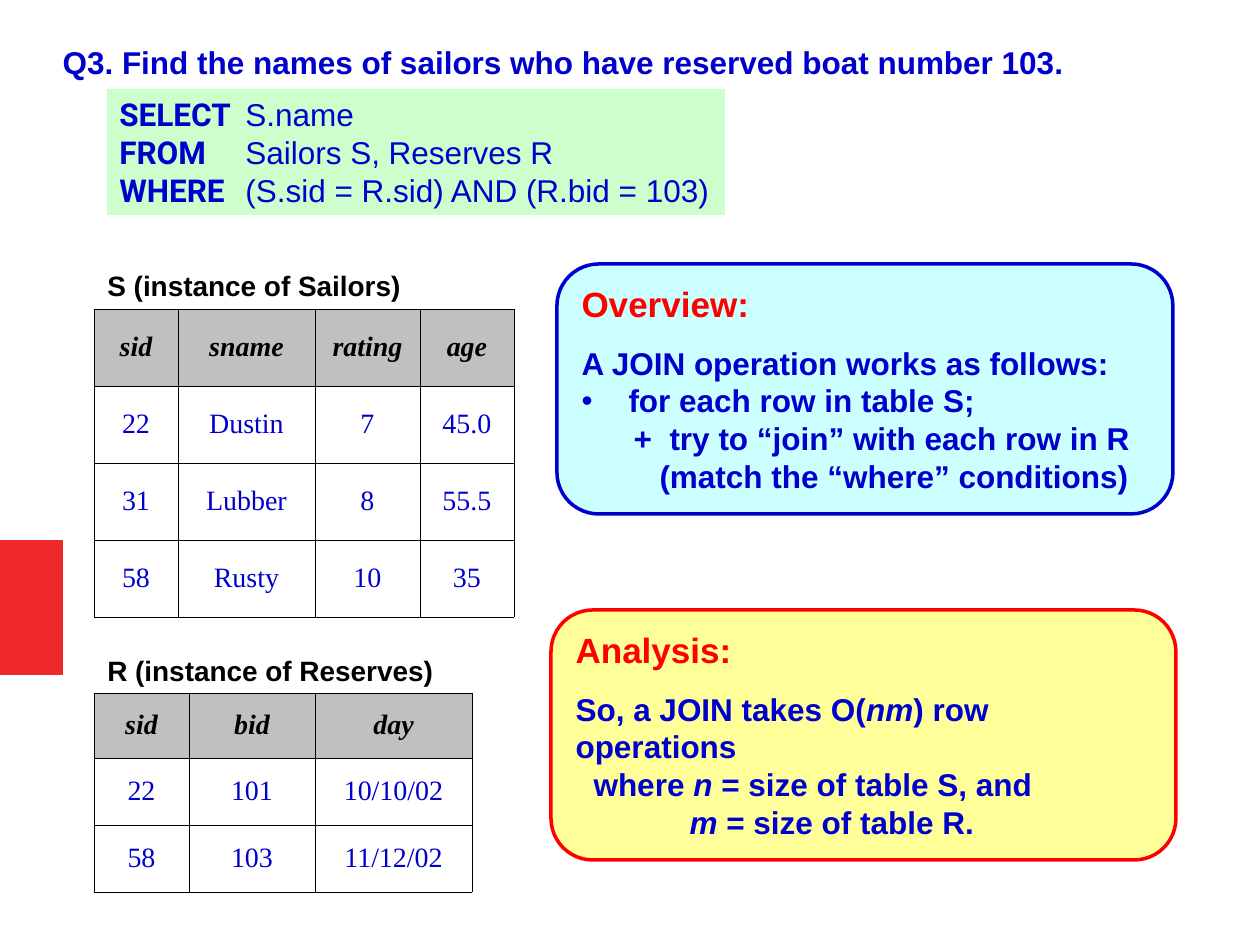
import pptx
import pptx.dml.color
import pptx.enum.shapes
import pptx.enum.text
import pptx.oxml.ns
import pptx.util
from lxml import etree

RGB = pptx.dml.color.RGBColor
BLUE = RGB(0x00, 0x00, 0xCC)
RED = RGB(0xFF, 0x00, 0x00)
BLACK = RGB(0x00, 0x00, 0x00)
GRAY = RGB(0xC0, 0xC0, 0xC0)
ACCENT = RGB(0xEF, 0x29, 0x29)
CYAN = RGB(0xCC, 0xFF, 0xFF)
GREEN = RGB(0xCC, 0xFF, 0xCC)
YELLOW = RGB(0xFF, 0xFF, 0x99)

SHAPE = pptx.enum.shapes.MSO_SHAPE
ALIGN = pptx.enum.text.PP_ALIGN
ANCHOR = pptx.enum.text.MSO_ANCHOR
SANS, CODE, SERIF = "Arial", "Roboto", "Times New Roman"
PX_PER_INCH = 126


def emu(px):
    return round(px * 914400 / PX_PER_INCH)


def add_xml(parent, tag, **attrs):
    return etree.SubElement(parent, pptx.oxml.ns.qn(tag), attrs)


class Deck:
    """Holds the text style and the current slide; lengths are in px."""

    def __init__(self, width, height):
        self.prs = pptx.Presentation()
        self.prs.slide_width, self.prs.slide_height = emu(width), emu(height)
        self.slide = self.prs.slides.add_slide(self.prs.slide_layouts[5])

    def frame(self, sp, wrap=True):
        tf = sp.text_frame
        tf.word_wrap = wrap
        tf.auto_size = pptx.enum.text.MSO_AUTO_SIZE.NONE
        tf.vertical_anchor = ANCHOR.TOP
        return tf

    def font(self, font, size=18, color=BLUE, bold=True, italic=False, name=SANS):
        font.size, font.name = pptx.util.Pt(size), name
        font.bold, font.italic = bold, italic
        font.color.rgb = color

    def para(self, tf, *runs, left=0, hang=0, tab=0, before=0, bullet=None,
             align=ALIGN.LEFT, **style):
        """Adds a paragraph; a run is a string or (text, font overrides)."""
        p = tf.paragraphs[0]
        if p.runs:
            p = tf.add_paragraph()
        p.alignment = align
        pPr = p._p.get_or_add_pPr()
        pPr.set("marL", str(emu(left)))
        pPr.set("indent", str(-emu(hang)))
        if before:
            p.space_before = pptx.util.Pt(before)
        if bullet:
            add_xml(add_xml(pPr, "a:buClr"), "a:srgbClr", val=str(BLUE))
            add_xml(pPr, "a:buFont", typeface=SANS)
            add_xml(pPr, "a:buChar", char=bullet)
        if tab:
            add_xml(add_xml(pPr, "a:tabLst"), "a:tab", pos=str(emu(tab)), algn="l")
        self.font(p.font, **style)
        for run in runs:
            text, changes = (run, {}) if isinstance(run, str) else run
            r = p.add_run()
            r.text = text
            if changes:
                self.font(r.font, **{**style, **changes})
        return p

    def title(self, text, x, y, w, h):
        sp = self.slide.shapes.title
        sp.left, sp.top, sp.width, sp.height = map(emu, (x, y, w, h))
        self.para(self.frame(sp), text)

    def label(self, text, x, y, w, h):
        sp = self.slide.shapes.add_textbox(*map(emu, (x, y, w, h)))
        self.para(self.frame(sp, wrap=False), text, size=16, color=BLACK)

    def box(self, x, y, w, h, fill, line=None, kind=SHAPE.RECTANGLE):
        sp = self.slide.shapes.add_shape(kind, *map(emu, (x, y, w, h)))
        sp.shadow.inherit = False
        sp.fill.solid()
        sp.fill.fore_color.rgb = fill
        if line is None:
            sp.line.fill.background()
        else:
            sp.line.color.rgb = line
            sp.line.width = pptx.util.Pt(2)
        return self.frame(sp)

    def panel(self, heading, x, y, w, h, fill, line):
        tf = self.box(x, y, w, h, fill, line, SHAPE.ROUNDED_RECTANGLE)
        self.para(tf, heading, size=20, color=RED)
        return tf

    def cell(self, cell, text, header):
        tcPr = cell._tc.get_or_add_tcPr()
        for side in ("a:lnL", "a:lnR", "a:lnT", "a:lnB"):
            ln = add_xml(tcPr, side, w="2921")
            add_xml(add_xml(ln, "a:solidFill"), "a:srgbClr", val=str(BLACK))
        if header:
            cell.fill.solid()
            cell.fill.fore_color.rgb = GRAY
        else:
            cell.fill.background()
        cell.vertical_anchor = ANCHOR.MIDDLE
        p = self.para(cell.text_frame, text, align=ALIGN.CENTER, size=16, name=SERIF,
                      bold=header, italic=header, color=BLACK if header else BLUE)
        p.line_spacing = 0.93

    def table(self, x, y, widths, heights, rows):
        size = map(emu, (x, y, sum(widths), sum(heights)))
        tbl = self.slide.shapes.add_table(len(heights), len(widths), *size).table
        tbl.first_row = tbl.horz_banding = False
        for column, width in zip(tbl.columns, widths):
            column.width = emu(width)
        for i, (height, row) in enumerate(zip(heights, rows)):
            tbl.rows[i].height = emu(height)
            for j, text in enumerate(row):
                self.cell(tbl.cell(i, j), text, header=i == 0)


def main():
    deck = Deck(1260, 945)
    deck.box(0, 540, 63, 135, ACCENT)
    deck.title("Q3. Find the names of sailors who have reserved boat number 103.",
               50, 37, 1060, 50)

    query = deck.box(107, 89, 618, 126, GREEN)
    for keyword, clause in (
            ("SELECT", "S.name"),
            ("FROM", "Sailors S, Reserves R"),
            ("WHERE", "(S.sid = R.sid) AND (R.bid = 103)")):
        deck.para(query, (keyword, {"name": CODE, "bold": True}), "\t" + clause,
                  tab=126, bold=False)

    deck.label("S (instance of Sailors)", 95, 262, 319, 47)
    deck.table(94, 309, [84, 137, 105, 94], [77] * 4, [
        ("sid", "sname", "rating", "age"),
        ("22", "Dustin", "7", "45.0"),
        ("31", "Lubber", "8", "55.5"),
        ("58", "Rusty", "10", "35")])

    deck.label("R (instance of Reserves)", 95, 647, 350, 47)
    deck.table(94, 693, [95, 126, 157], [65, 67, 67], [
        ("sid", "bid", "day"),
        ("22", "101", "10/10/02"),
        ("58", "103", "11/12/02")])

    overview = deck.panel("Overview:", 557, 264, 616, 250, CYAN, BLUE)
    deck.para(overview, "A JOIN operation works as follows:", before=11)
    deck.para(overview, "for each row in table S;", left=47, hang=47, bullet="•")
    deck.para(overview, "+\ttry to “join” with each row in R",
              left=88, hang=36, tab=88)
    deck.para(overview, "(match the “where” conditions)", left=78)

    italic = {"italic": True}
    analysis = deck.panel("Analysis:", 551, 610, 625, 250, YELLOW, RED)
    deck.para(analysis, "So, a JOIN takes O(", ("nm", italic), ") row operations",
              before=11)
    deck.para(analysis, "where ", ("n", italic), " = size of table S, and", left=18)
    deck.para(analysis, ("m", italic), " = size of table R.", left=114)

    deck.prs.save("out.pptx")


if __name__ == "__main__":
    main()
